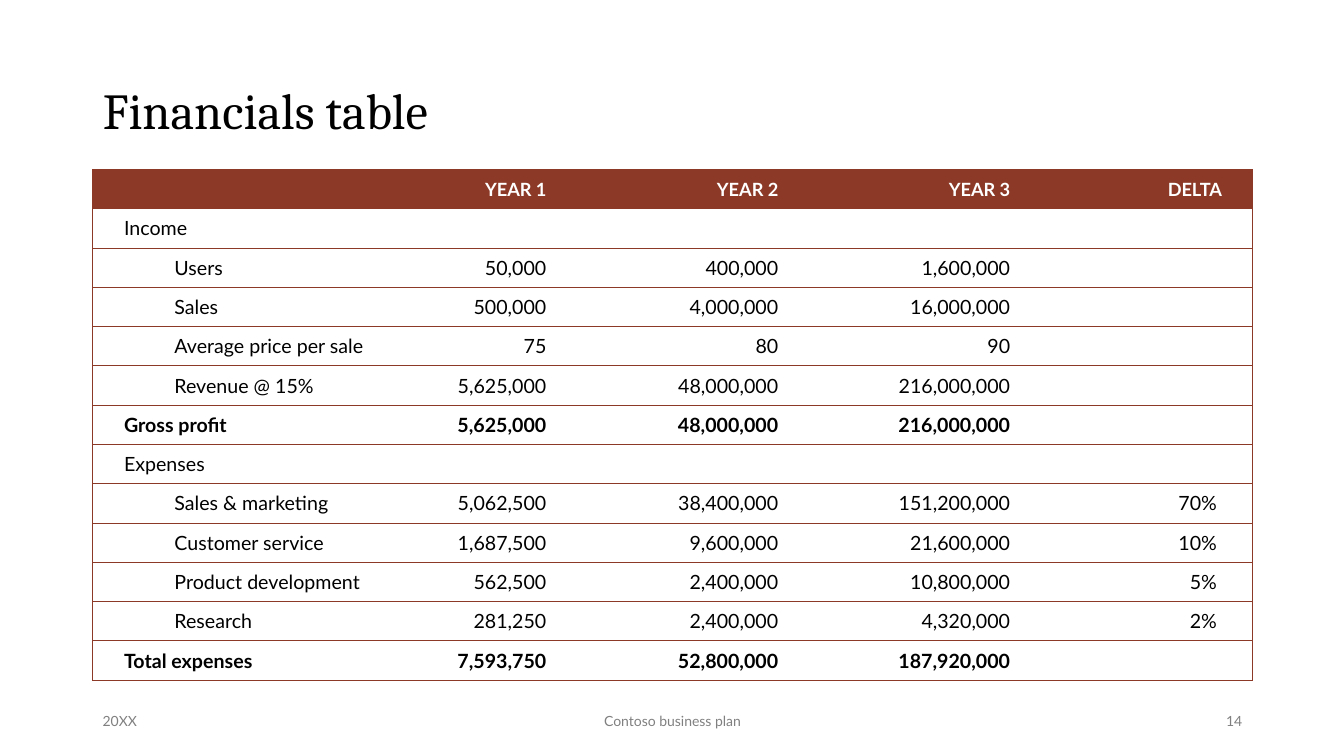
from dataclasses import dataclass

from lxml.etree import SubElement
from pptx import Presentation
from pptx.dml.color import RGBColor
from pptx.enum.text import MSO_ANCHOR as Anchor, PP_ALIGN as Align
from pptx.oxml import parse_xml
from pptx.oxml.ns import nsdecls, qn
from pptx.slide import Slide
from pptx.table import Table, _Cell as Cell
from pptx.text.text import _Paragraph as Paragraph

EMU_PER_PX = 9144
RUST = RGBColor(0x8C, 0x3A, 0x27)
BLACK = RGBColor(0, 0, 0)
WHITE = RGBColor(0xFF, 0xFF, 0xFF)
GRAY = RGBColor(0x80, 0x80, 0x80)
HEADING_FONT = "Cambria"
BODY_FONT = "Lato"
NO_GRID_STYLE = "{2D5ABB26-0587-4C30-8999-92F81FD0307C}"
COLUMN_WIDTHS = (299, 161, 230, 230, 230)
ROW_HEIGHT = 39
LEFT, CONTENT_WIDTH = 92, 1150


@dataclass(frozen=True)
class Entry:
    label: str
    figures: tuple[str, ...] = ()
    indented: bool = False
    bold: bool = False
    header: bool = False


@dataclass(frozen=True)
class FooterPart:
    text: str
    left: int
    width: int
    align: Align


ENTRIES = (
    Entry("", ("YEAR 1", "YEAR 2", "YEAR 3", "DELTA"), bold=True, header=True),
    Entry("Income"),
    Entry("Users", ("50,000", "400,000", "1,600,000"), indented=True),
    Entry("Sales", ("500,000", "4,000,000", "16,000,000"), indented=True),
    Entry("Average price per sale", ("75", "80", "90"), indented=True),
    Entry("Revenue @ 15%", ("5,625,000", "48,000,000", "216,000,000"), indented=True),
    Entry("Gross profit", ("5,625,000", "48,000,000", "216,000,000"), bold=True),
    Entry("Expenses"),
    Entry("Sales & marketing", ("5,062,500", "38,400,000", "151,200,000", "70%"), indented=True),
    Entry("Customer service", ("1,687,500", "9,600,000", "21,600,000", "10%"), indented=True),
    Entry("Product development", ("562,500", "2,400,000", "10,800,000", "5%"), indented=True),
    Entry("Research", ("281,250", "2,400,000", "4,320,000", "2%"), indented=True),
    Entry("Total expenses", ("7,593,750", "52,800,000", "187,920,000"), bold=True),
)

FOOTER = (
    FooterPart("20XX", 92, 300, Align.LEFT),
    FooterPart("Contoso business plan", 442, 450, Align.CENTER),
    FooterPart("14", 942, 300, Align.RIGHT),
)


def px(length: int) -> int:
    return length * EMU_PER_PX


def add_run(paragraph: Paragraph, text: str, font: str, size: int,
            color: RGBColor, bold: bool = False) -> None:
    run = paragraph.add_run()
    run.text = text
    run.font.name = font
    run.font.size = size * 12700
    run.font.bold = bold
    run.font.color.rgb = color


def set_borders(cell: Cell, sides: str) -> None:
    properties = cell._tc.get_or_add_tcPr()
    for position, side in enumerate(sides):
        properties.insert(position, parse_xml(
            f'<a:ln{side} {nsdecls("a")} w="6350"><a:solidFill>'
            f'<a:srgbClr val="{RUST}"/></a:solidFill></a:ln{side}>'))


def fill_cell(cell: Cell, entry: Entry, column: int, text: str) -> None:
    last = len(COLUMN_WIDTHS) - 1
    cell.vertical_anchor = Anchor.MIDDLE
    cell.margin_top = cell.margin_bottom = px(5)
    cell.margin_left = px(31 if column == 0 else 10)
    delta_margin = 30 if entry.header else 35
    cell.margin_right = px(delta_margin if column == last else 10)
    if entry.header:
        cell.fill.solid()
        cell.fill.fore_color.rgb = RUST
    else:
        cell.fill.background()
    set_borders(cell, {0: "LTB", last: "RTB"}.get(column, "TB"))

    paragraph = cell.text_frame.paragraphs[0]
    size = 13 if entry.header else 14
    if not text:
        SubElement(paragraph._p, qn("a:endParaRPr")).set("sz", str(size * 100))
        return
    paragraph.alignment = Align.RIGHT if column else Align.LEFT
    if entry.indented and column == 0:
        paragraph.level = 1
        indent = paragraph._p.get_or_add_pPr()
        indent.set("marL", str(px(50)))
        indent.set("indent", "0")
    add_run(paragraph, text, BODY_FONT, size, WHITE if entry.header else BLACK, entry.bold)


def add_title(slide: Slide) -> None:
    title = slide.shapes.title
    title.left, title.top = px(LEFT), px(77)
    title.width, title.height = px(CONTENT_WIDTH), px(70)
    title.text_frame.vertical_anchor = Anchor.MIDDLE
    heading = title.text_frame.paragraphs[0]
    heading.alignment = Align.LEFT
    heading.line_spacing = 0.9
    add_run(heading, "Financials table", HEADING_FONT, 36, BLACK)


def add_financials(slide: Slide) -> None:
    financials: Table = slide.shapes.add_table(
        len(ENTRIES), len(COLUMN_WIDTHS), px(LEFT), px(168),
        px(CONTENT_WIDTH), px(ROW_HEIGHT * len(ENTRIES))).table
    financials._tbl.tblPr.find(qn("a:tableStyleId")).text = NO_GRID_STYLE
    financials.horz_banding = False
    for column, width in zip(financials.columns, COLUMN_WIDTHS):
        column.width = px(width)
    for row, entry in enumerate(ENTRIES):
        financials.rows[row].height = px(ROW_HEIGHT)
        texts = (entry.label, *entry.figures)
        for column in range(len(COLUMN_WIDTHS)):
            text = texts[column] if column < len(texts) else ""
            fill_cell(financials.cell(row, column), entry, column, text)


def add_footer_part(slide: Slide, part: FooterPart) -> None:
    frame = slide.shapes.add_textbox(
        px(part.left), px(695), px(part.width), px(40)).text_frame
    frame.word_wrap = True
    frame.vertical_anchor = Anchor.MIDDLE
    line = frame.paragraphs[0]
    line.alignment = part.align
    add_run(line, part.text, BODY_FONT, 10, GRAY)


def main() -> None:
    deck = Presentation()
    deck.slide_width, deck.slide_height = px(1333), px(750)
    slide = deck.slides.add_slide(deck.slide_layouts.get_by_name("Title Only"))
    add_title(slide)
    add_financials(slide)
    for part in FOOTER:
        add_footer_part(slide, part)
    deck.save("out.pptx")


if __name__ == "__main__":
    main()
